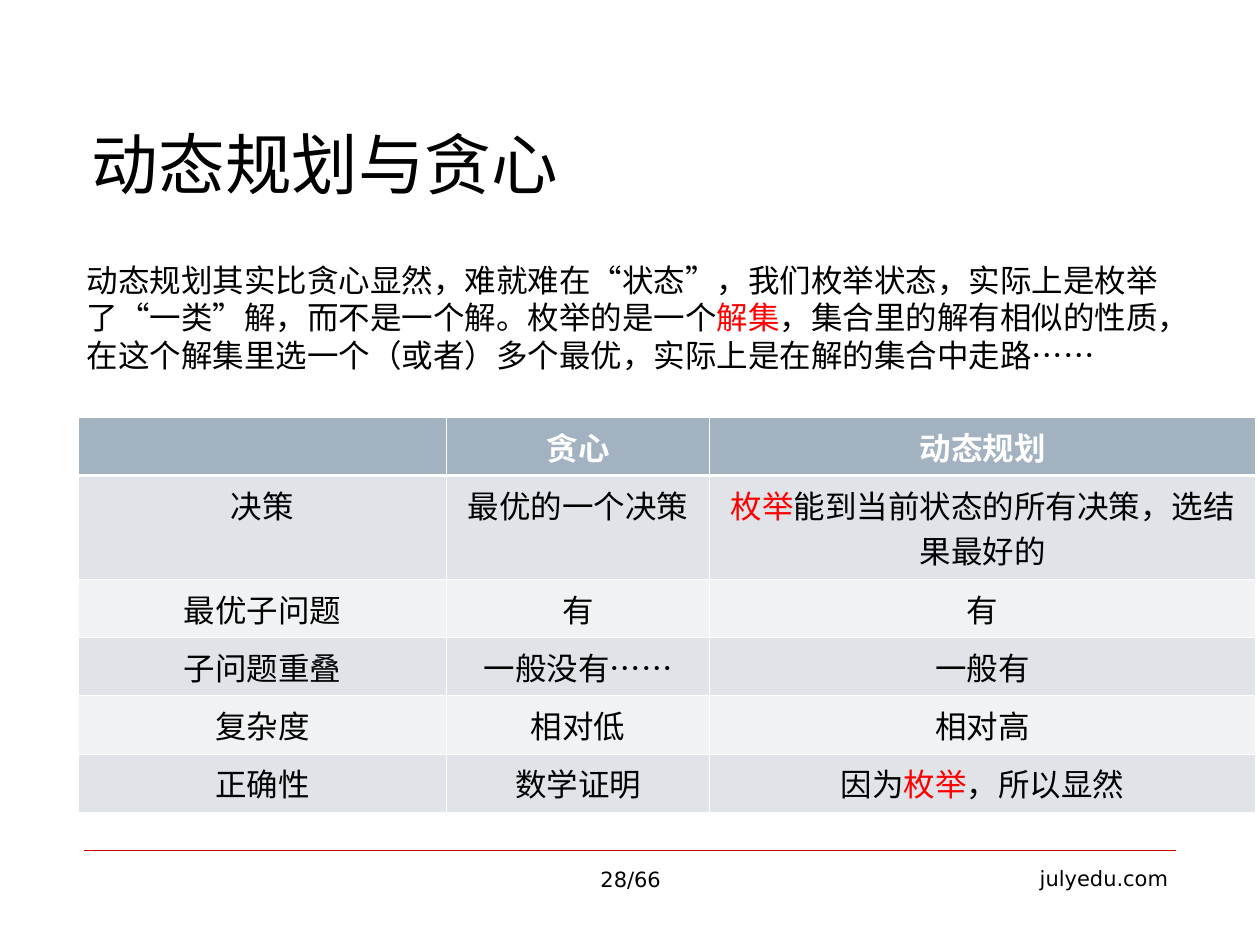
from dataclasses import dataclass

from lxml import etree
from pptx import Presentation
from pptx.dml.color import RGBColor
from pptx.enum.shapes import MSO_CONNECTOR
from pptx.enum.text import MSO_ANCHOR, MSO_AUTO_SIZE, PP_ALIGN
from pptx.oxml.ns import qn
from pptx.util import Cm, Pt

LEFT, CENTER, RIGHT = PP_ALIGN.LEFT, PP_ALIGN.CENTER, PP_ALIGN.RIGHT
BOTTOM = MSO_ANCHOR.BOTTOM
NO_AUTOSIZE = MSO_AUTO_SIZE.NONE
STRAIGHT = MSO_CONNECTOR.STRAIGHT

COLORS = {
    "text": "000000",
    "highlight": "FF0000",
    "white": "FFFFFF",
    "header": "A3B2C1",
    "odd_row": "E0E4E9",
    "even_row": "F0F2F4",
    "rule": "CC0000",
}
SERIF, SANS = "Times New Roman", "DejaVu Sans"
HIGHLIGHT_MARK = "|"


@dataclass
class TextBlock:
    text: str
    left: float
    top: float
    width: float
    height: float
    size: float
    alignment: PP_ALIGN


TEXT_BLOCKS = [
    TextBlock(
        "动态规划其实比贪心显然，难就难在“状态”，我们枚举状态，实际上是枚举了“一类”解，"
        "而不是一个解。枚举的是一个|解集|，集合里的解有相似的性质，在这个解集里选一个"
        "（或者）多个最优，实际上是在解的集合中走路……",
        1.5, 5.13, 22.81, 2.54, 18, LEFT),
    TextBlock("28/66", 8.69, 17.35, 8.05, 1.32, 12, CENTER),
    TextBlock("julyedu.com", 18.29, 17.32, 5.51, 1.32, 12, RIGHT),
]

TABLE_ROWS = [
    ["", "贪心", "动态规划"],
    ["决策", "最优的一个决策", "|枚举|能到当前状态的所有决策，选结果最好的"],
    ["最优子问题", "有", "有"],
    ["子问题重叠", "一般没有……", "一般有"],
    ["复杂度", "相对低", "相对高"],
    ["正确性", "数学证明", "因为|枚举|，所以显然"],
]
COLUMN_WIDTHS = [7.42, 5.31, 11.0]
ROW_HEIGHTS = [1.04, 1.78] + [1.04] * 4


def rgb(name: str) -> RGBColor:
    return RGBColor.from_string(COLORS[name])


def write_text(text_frame, text: str, font_name: str, size: float,
               alignment: PP_ALIGN, color: str = "text", bold: bool = False) -> None:
    paragraph = text_frame.paragraphs[0]
    paragraph.alignment = alignment
    paragraph.font.size = Pt(size)
    for index, part in enumerate(text.split(HIGHLIGHT_MARK)):
        if not part:
            continue
        run = paragraph.add_run()
        run.text = part
        run.font.name = font_name
        run.font.size = Pt(size)
        run.font.bold = bold
        run.font.color.rgb = rgb("highlight" if index % 2 else color)


def add_title(slide, text: str) -> None:
    title = slide.shapes.title
    title.left, title.top, title.width, title.height = Cm(1.6), Cm(0.84), Cm(22.23), Cm(3.38)
    title.text_frame.auto_size = NO_AUTOSIZE
    title.text_frame.vertical_anchor = BOTTOM
    write_text(title.text_frame, text, SERIF, 38, LEFT)


def add_text_block(slide, block: TextBlock) -> None:
    shape = slide.shapes.add_textbox(
        Cm(block.left), Cm(block.top), Cm(block.width), Cm(block.height))
    shape.text_frame.word_wrap = True
    write_text(shape.text_frame, block.text, SANS, block.size, block.alignment)


def add_footer_rule(slide) -> None:
    rule = slide.shapes.add_connector(STRAIGHT, Cm(1.7), Cm(17.15), Cm(23.7), Cm(17.15))
    rule.line.color.rgb = rgb("rule")
    rule.line.width = Pt(0.25)
    etree.SubElement(rule._element.spPr, qn("a:effectLst"))


def set_borders(cell, top: float, bottom: float) -> None:
    properties = cell._tc.get_or_add_tcPr()
    widths = {"a:lnL": 0.45, "a:lnR": 0.45, "a:lnT": top, "a:lnB": bottom}
    for index, (tag, width) in enumerate(widths.items()):
        border = etree.Element(qn(tag), w=str(Pt(width)))
        fill = etree.SubElement(border, qn("a:solidFill"))
        etree.SubElement(fill, qn("a:srgbClr"), val=COLORS["white"])
        properties.insert(index, border)


def add_comparison_table(slide) -> None:
    table = slide.shapes.add_table(
        len(TABLE_ROWS), len(COLUMN_WIDTHS), Cm(1.58), Cm(8.41),
        Cm(sum(COLUMN_WIDTHS)), Cm(sum(ROW_HEIGHTS))).table
    for column, width in zip(table.columns, COLUMN_WIDTHS):
        column.width = Cm(width)
    for row_index, (row, height) in enumerate(zip(table.rows, ROW_HEIGHTS)):
        row.height = Cm(height)
        is_header = row_index == 0
        row_fill = "header" if is_header else "odd_row" if row_index % 2 else "even_row"
        for cell, text in zip(row.cells, TABLE_ROWS[row_index]):
            cell.fill.solid()
            cell.fill.fore_color.rgb = rgb(row_fill)
            set_borders(cell, top=1.47 if row_index == 1 else 0.45,
                        bottom=1.47 if is_header else 0.45)
            write_text(cell.text_frame, text, SERIF, 18, CENTER,
                       "white" if is_header else "text", is_header)


def main() -> None:
    presentation = Presentation()
    presentation.slide_width, presentation.slide_height = Cm(25.4), Cm(19.05)
    slide = presentation.slides.add_slide(presentation.slide_layouts[5])
    add_footer_rule(slide)
    add_title(slide, "动态规划与贪心")
    add_comparison_table(slide)
    for block in TEXT_BLOCKS:
        add_text_block(slide, block)
    presentation.save("out.pptx")


if __name__ == "__main__":
    main()
